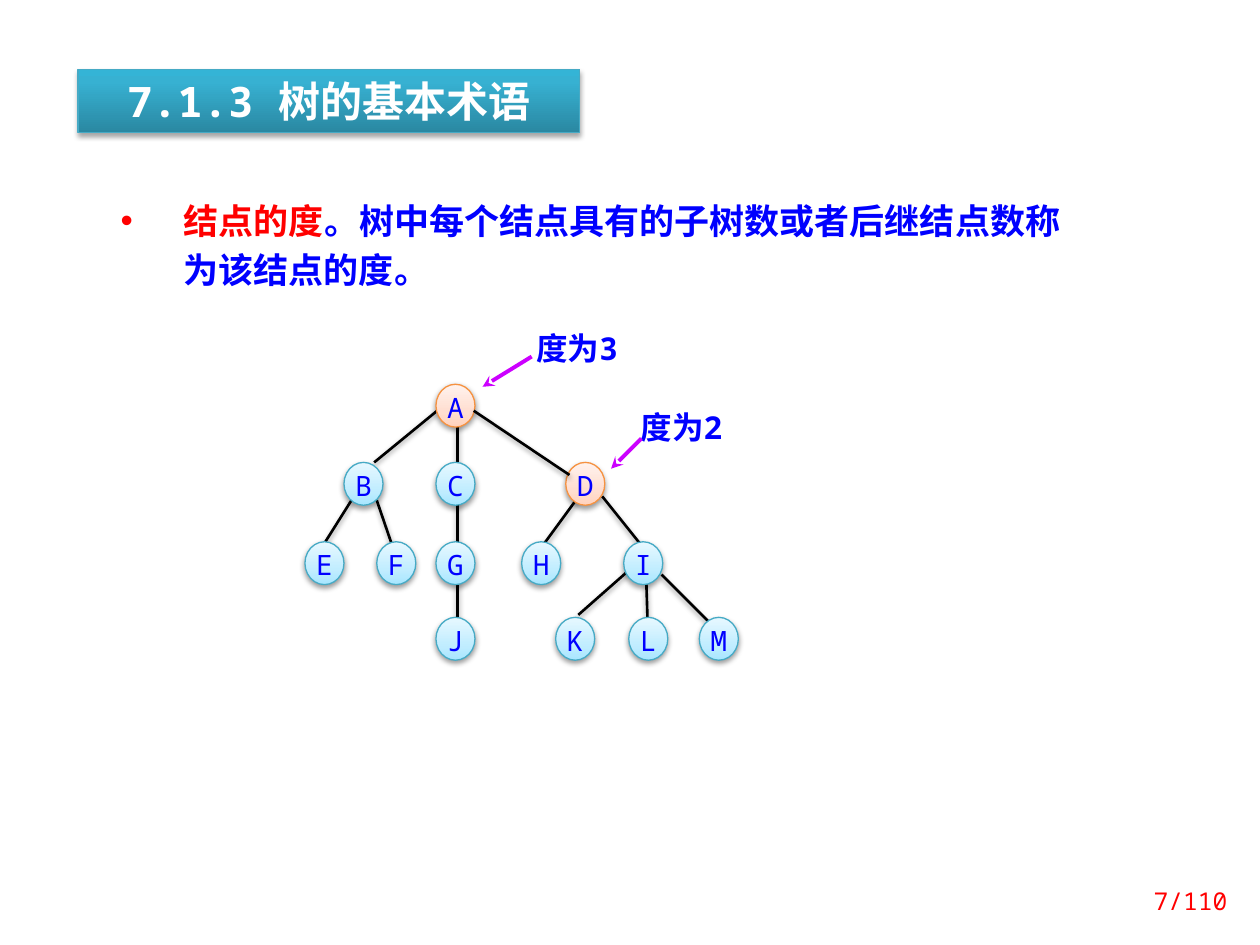
import pptx
import pptx.util
import pptx.dml.color
import pptx.enum.shapes
import pptx.enum.text
from lxml import etree
from pptx.oxml.ns import qn
from pptx.util import Inches

MONO, SANS = "Noto Sans Mono", "Noto Sans CJK SC"
BLUE, RED, WHITE, BLACK, PURPLE = "0000FF", "FF0000", "FFFFFF", "000000", "CC00FF"
TEAL, ORANGE = "46AAC5", "F69240"
TITLE_FILL = [(0, "2A88A2"), (80, "37B1D2"), (100, "34B4D6")]
NODE_FILL = [(0, "A7E6FF"), (35, "C1EDFF"), (100, "E7F8FF")]
MARKED_FILL = [(0, "FFD2BD"), (35, "FFDED0"), (100, "FFF2ED")]
ALIGN = pptx.enum.text.PP_ALIGN
ANCHOR = pptx.enum.text.MSO_ANCHOR
SHAPE = pptx.enum.shapes.MSO_SHAPE
NODE_W, NODE_H = 0.31, 0.34


def rgb(hex_color):
    return pptx.dml.color.RGBColor.from_string(hex_color)


def child(parent, tag, **attributes):
    element = etree.SubElement(parent, qn(tag))
    for key, value in attributes.items():
        element.set(key, str(value))
    return element


class SlideBuilder:
    def __init__(self, slide):
        self.slide = slide

    def set_font(self, font, size, color, name, bold):
        font.size = pptx.util.Pt(size)
        font.bold = bold
        font.color.rgb = rgb(color)
        font.name = name
        # East Asian typeface, next to the Latin one
        child(font._element, "a:ea", typeface=name)

    def add_shadow(self, properties, opacity, distance):
        effects = properties.find(qn("a:effectLst"))
        shadow = child(effects, "a:outerShdw", blurRad=pptx.util.Pt(3.1),
                       dist=pptx.util.Pt(distance), dir=5400000, rotWithShape=0)
        child(child(shadow, "a:srgbClr", val=BLACK), "a:alpha", val=opacity * 1000)

    def put_text(self, frame, text, size, color, align, bold=False, spacing=None):
        paragraph = frame.paragraphs[0]
        paragraph.text = text
        paragraph.alignment = align
        if spacing:
            paragraph.line_spacing = spacing
        self.set_font(paragraph.font, size, color, MONO, bold)

    def shape(self, kind, box, stops, outline, opacity, distance):
        shape = self.slide.shapes.add_shape(kind, *map(Inches, box))
        shape.fill.gradient()
        shape.fill.gradient_angle = 90
        stop_list = shape._element.spPr.find(qn("a:gradFill")).find(qn("a:gsLst"))
        for old_stop in list(stop_list):
            stop_list.remove(old_stop)
        for position, color in stops:
            child(child(stop_list, "a:gs", pos=position * 1000), "a:srgbClr", val=color)
        shape.line.color.rgb = rgb(outline)
        shape.line.width = pptx.util.Pt(0.75)
        shape.shadow.inherit = False
        self.add_shadow(shape._element.spPr, opacity, distance)
        shape.text_frame.vertical_anchor = ANCHOR.TOP
        return shape.text_frame

    def title(self, box, text):
        frame = self.shape(SHAPE.RECTANGLE, box, TITLE_FILL, TEAL, 35, 1.8)
        self.put_text(frame, text, 24, WHITE, ALIGN.CENTER, bold=True)

    def node(self, letter, left, top, marked):
        fill, outline = (MARKED_FILL, ORANGE) if marked else (NODE_FILL, TEAL)
        frame = self.shape(SHAPE.OVAL, (left, top, NODE_W, NODE_H), fill, outline, 38, 1.6)
        frame.margin_left = frame.margin_right = 0
        frame.margin_top = frame.margin_bottom = 0
        self.put_text(frame, letter, 16, BLUE, ALIGN.CENTER, spacing=pptx.util.Pt(19))

    def line(self, start, end, color, width):
        connector = self.slide.shapes.add_connector(
            pptx.enum.shapes.MSO_CONNECTOR.STRAIGHT, *map(Inches, (*start, *end)))
        connector.line.color.rgb = rgb(color)
        connector.line.width = pptx.util.Pt(width)
        child(connector._element.spPr, "a:effectLst")
        return connector

    def edge(self, start, end):
        connector = self.line(start, end, BLACK, 1.5)
        self.add_shadow(connector._element.spPr, 38, 1.6)

    def arrow(self, start, end):
        connector = self.line(start, end, PURPLE, 2.25)
        child(connector._element.spPr.find(qn("a:ln")), "a:tailEnd", type="stealth")

    def text_box(self, box, anchor=ANCHOR.TOP):
        frame = self.slide.shapes.add_textbox(*map(Inches, box)).text_frame
        frame.word_wrap = True
        frame.vertical_anchor = anchor
        return frame

    def label(self, box, text):
        self.put_text(self.text_box(box), text, 18, BLUE, ALIGN.CENTER, True, 0.8)

    def bullet(self, box, parts):
        paragraph = self.text_box(box).paragraphs[0]
        properties = paragraph._p.get_or_add_pPr()
        properties.set("marL", str(Inches(0.5)))
        properties.set("indent", str(Inches(-0.5)))
        child(properties, "a:buFont", typeface="Arial")
        child(properties, "a:buChar", char="•")
        paragraph.line_spacing = pptx.util.Pt(28)
        for text, color, name in parts:
            run = paragraph.add_run()
            run.text = text
            self.set_font(run.font, 20, color, name, True)

    def page_number(self, box, text):
        self.put_text(self.text_box(box, ANCHOR.MIDDLE), text, 14, RED, ALIGN.RIGHT)


def main():
    deck = pptx.Presentation()
    deck.slide_width, deck.slide_height = Inches(10), Inches(7.5)
    page = SlideBuilder(deck.slides.add_slide(deck.slide_layouts[6]))

    # Heading
    page.title((0.62, 0.55, 3.98, 0.5), "7.1.3 树的基本术语")

    # Degree labels with their arrows
    page.arrow((4.22, 2.83), (3.83, 3.07))
    page.label((3.99, 2.62, 1.18, 0.34), "度为3")
    page.label((4.94, 3.25, 0.94, 0.34), "度为2")
    page.arrow((5.09, 3.48), (4.85, 3.72))

    # Definition
    page.bullet((0.86, 1.48, 7.81, 0.83), [
        ("结点的度", RED, SANS),
        ("。", BLUE, MONO),
        ("树中每个结点具有的子树数或者后继结点数称为该结点的度。", BLUE, SANS),
    ])

    # Tree edges behind the nodes
    edges = [
        ((4.6, 3.93), (4.3, 4.34)),    # D-H
        ((4.78, 3.94), (5.1, 4.34)),   # D-I
        ((5.13, 4.63), (5.14, 4.94)),  # I-L
        ((5.25, 4.56), (5.62, 4.93)),  # I-M
        ((5.01, 4.51), (4.59, 4.88)),  # I-K
        ((2.99, 3.97), (3.13, 4.38)),  # B-F
        ((2.79, 3.97), (2.57, 4.32)),  # B-E
        ((3.47, 3.26), (2.97, 3.67)),  # A-B
        ((3.63, 3.36), (3.63, 4.95)),  # A-C-G-J
    ]
    for start, end in edges:
        page.edge(start, end)

    # Tree nodes, level by level: top, then the left of each node
    levels = [
        (3.05, {"A": 3.46}),
        (3.67, {"B": 2.73, "C": 3.46, "D": 4.49}),
        (4.3, {"E": 2.42, "F": 2.99, "G": 3.46, "H": 4.14, "I": 4.95}),
        (4.9, {"J": 3.46, "K": 4.41, "L": 4.99, "M": 5.55}),
    ]
    for top, nodes in levels:
        for letter, left in nodes.items():
            page.node(letter, left, top, marked=letter in "AD")

    # Edge A-D lies over its nodes
    page.edge((3.76, 3.26), (4.52, 3.77))

    # Page number
    page.page_number((8.7, 6.95, 1.14, 0.4), "7/110")

    deck.save("out.pptx")


if __name__ == "__main__":
    main()
